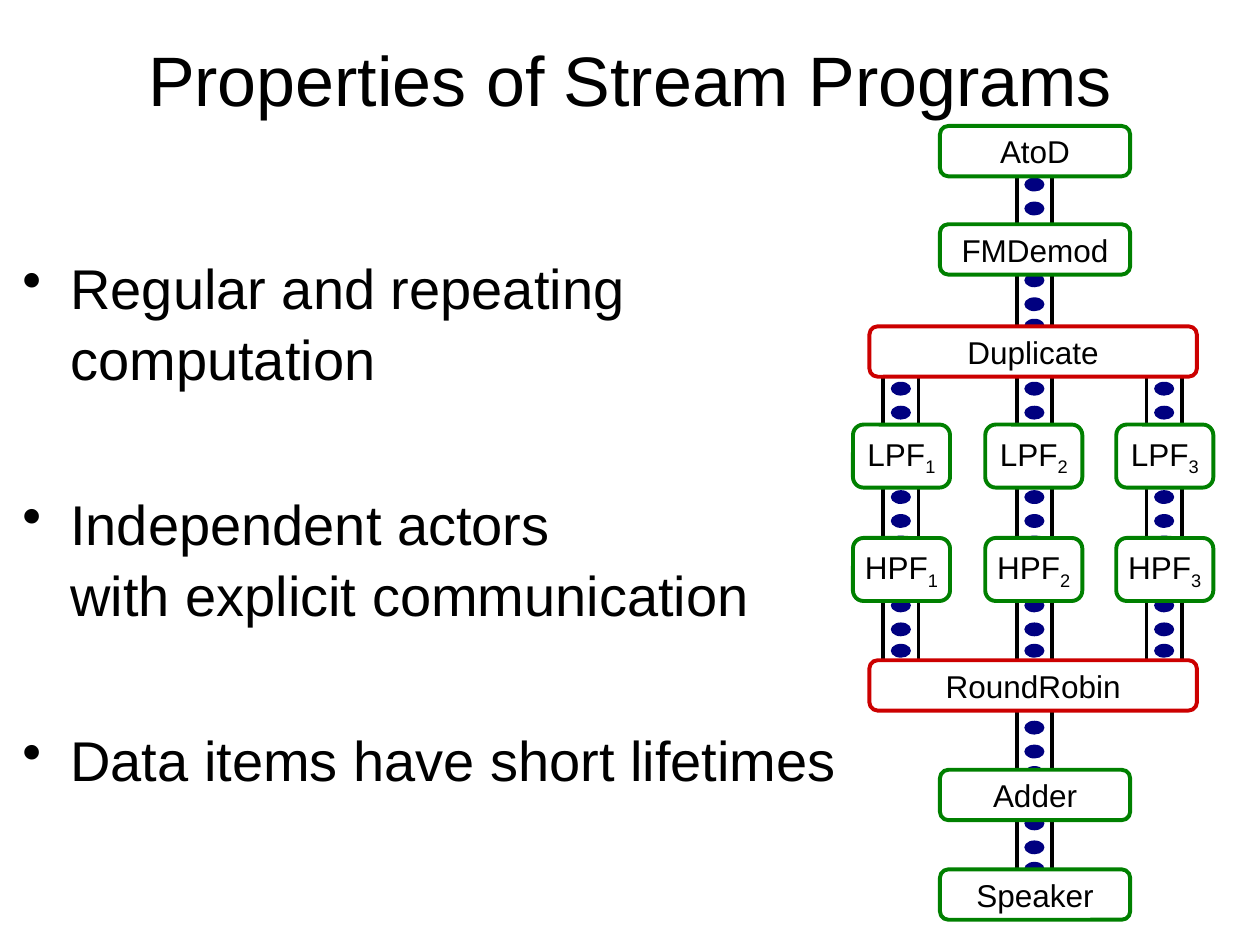
from pptx import Presentation
from pptx.dml.color import RGBColor
from pptx.enum.shapes import MSO_SHAPE
from pptx.enum.text import MSO_ANCHOR, PP_ALIGN
from pptx.oxml.xmlchemy import OxmlElement
from pptx.util import Inches, Pt

RECTANGLE, OVAL, ROUNDED = MSO_SHAPE.RECTANGLE, MSO_SHAPE.OVAL, MSO_SHAPE.ROUNDED_RECTANGLE
MIDDLE, CENTER = MSO_ANCHOR.MIDDLE, PP_ALIGN.CENTER
COLORS = {"black": "000000", "white": "FFFFFF", "item": "000080",
          "filter": "008000", "splitter": "CC0000"}

deck = Presentation()
deck.slide_width, deck.slide_height = Inches(10), Inches(7.5)
page = deck.slides.add_slide(deck.slide_layouts[6])


def add_figure(kind, left, top, width, height, fill, line=None, weight=2):
    figure = page.shapes.add_shape(kind, Inches(left), Inches(top), Inches(width), Inches(height))
    figure.shadow.inherit = False
    figure.fill.solid()
    figure.fill.fore_color.rgb = RGBColor.from_string(COLORS[fill])
    if line:
        figure.line.color.rgb = RGBColor.from_string(COLORS[line])
        figure.line.width = Pt(weight)
    else:
        figure.line.fill.background()
    return figure


def add_span(para, text, size):
    """Append black Arial text; a vertical tab in it breaks the line."""
    for index, piece in enumerate(text.split("\v")):
        if index:
            para.add_line_break()
        span = para.add_run()
        span.text = piece
        for name, value in {"name": "Arial", "size": Pt(size)}.items():
            setattr(span.font, name, value)
        span.font.color.rgb = RGBColor.from_string(COLORS["black"])
    return span


# Title
title = page.shapes.add_textbox(Inches(0.5), Inches(0), Inches(9), Inches(1.25))
title.text_frame.word_wrap = True
title.text_frame.vertical_anchor = MIDDLE
para = title.text_frame.paragraphs[0]
para.alignment = CENTER
add_span(para, "Properties of Stream Programs", 40)

# Bulleted properties
body = page.shapes.add_textbox(Inches(0.08), Inches(1.94), Inches(6.78), Inches(4.39))
body.text_frame.word_wrap = True
properties = ["Regular and repeating computation",
              "Independent actors\vwith explicit communication",
              "Data items have short lifetimes"]
for index, text in enumerate(properties):
    para = body.text_frame.add_paragraph() if index else body.text_frame.paragraphs[0]
    para.line_spacing = 1.05
    para.space_before = Pt(54 if index else 0)
    add_span(para, text, 32)
    settings = para._p.get_or_add_pPr()
    settings.set("marL", str(Inches(0.38)))
    settings.set("indent", str(-Inches(0.38)))
    bullet = OxmlElement("a:buChar")
    bullet.set("char", "•")
    settings.append(bullet)

# Channels holding data items: top, lefts, number of items
MIDDLE_CHANNEL = [8.07]
ALL_CHANNELS = [7.01, 8.07, 9.1]
ITEM_OFFSETS = [0.2, 0.39, 0.56]
channels = [(1.21, MIDDLE_CHANNEL, 3), (1.97, MIDDLE_CHANNEL, 3),
            (2.83, ALL_CHANNELS, 2), (3.69, ALL_CHANNELS, 3), (4.55, ALL_CHANNELS, 3),
            (6.28, MIDDLE_CHANNEL, 3), (5.52, MIDDLE_CHANNEL, 3)]
for top, lefts, count in channels:
    for left in lefts:
        add_figure(RECTANGLE, left, top, 0.28, 0.79, "white", "black")
        for offset in ITEM_OFFSETS[:count]:
            add_figure(OVAL, left + 0.06, top + offset, 0.16, 0.11, "item")

# Actors: label, subscript, left, top, width, height, outline
actors = [(label, "", 7.46, top, 1.51, 0.4, "filter") for label, top in
          [("AtoD", 1), ("FMDemod", 1.78), ("Adder", 6.11), ("Speaker", 6.9)]]
actors += [(label, "", 6.9, top, 2.6, 0.4, "splitter") for label, top in
           [("Duplicate", 2.59), ("RoundRobin", 5.24)]]
actors += [(label, str(number), left, top, 0.77, 0.5, "filter")
           for label, top in [("LPF", 3.37), ("HPF", 4.27)]
           for number, left in enumerate([6.77, 7.82, 8.86], start=1)]
for label, subscript, left, top, width, height, outline in actors:
    box = add_figure(ROUNDED, left, top, width, height, "white", outline, 2.25)
    box.text_frame.word_wrap = False
    box.text_frame.vertical_anchor = MIDDLE
    para = box.text_frame.paragraphs[0]
    para.alignment = CENTER
    add_span(para, label, 18)
    if subscript:
        span = add_span(para, subscript, 18)
        span.font._element.set("baseline", "-25000")

deck.save("out.pptx")
